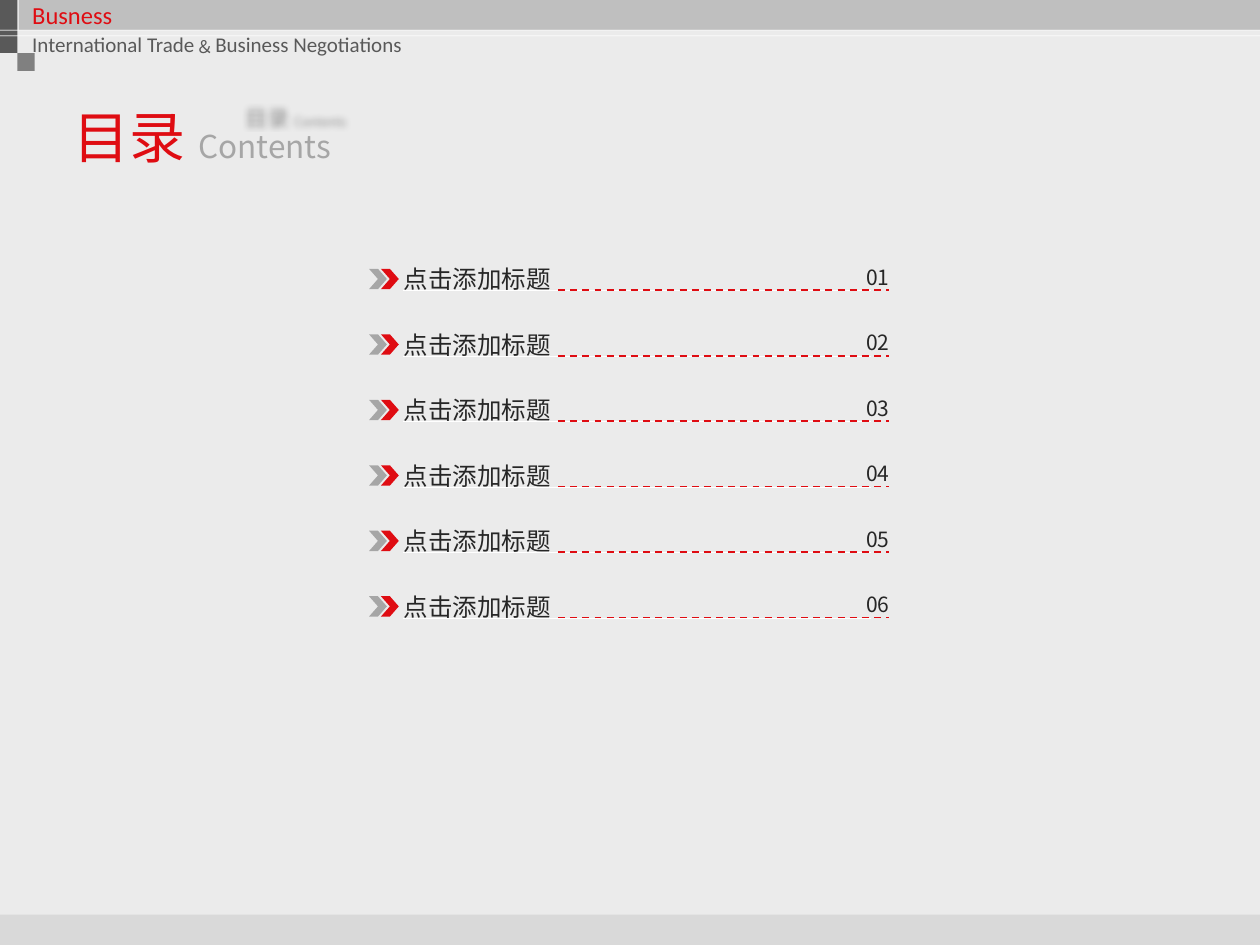
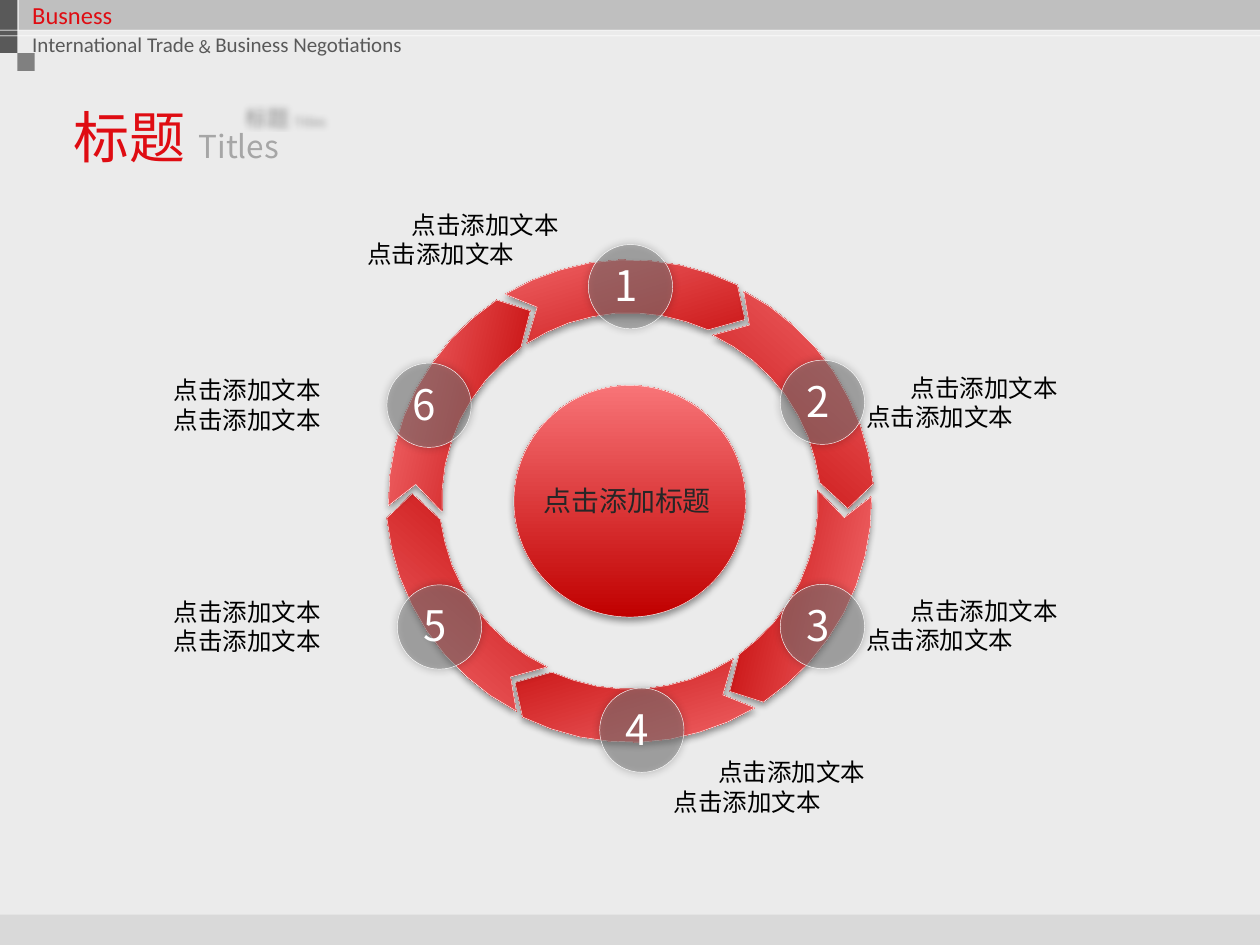
from dataclasses import dataclass
from math import cos, radians, sin

from lxml import etree
from pptx import Presentation
from pptx.dml.color import RGBColor
from pptx.enum.dml import MSO_LINE
from pptx.enum.shapes import MSO_CONNECTOR, MSO_SHAPE
from pptx.enum.text import MSO_ANCHOR, PP_ALIGN
from pptx.oxml.ns import qn
from pptx.util import Cm, Pt

RECT, OVAL, CHEVRON = MSO_SHAPE.RECTANGLE, MSO_SHAPE.OVAL, MSO_SHAPE.CHEVRON
STRAIGHT, DASH = MSO_CONNECTOR.STRAIGHT, MSO_LINE.DASH
LEFT, CENTER, TOP = PP_ALIGN.LEFT, PP_ALIGN.CENTER, MSO_ANCHOR.TOP


@dataclass(frozen=True)
class Theme:
    red: str = "DF0C12"
    deep_red: str = "C00000"
    light_red: str = "F87477"
    white: str = "FFFFFF"
    black: str = "000000"
    ink: str = "262626"
    charcoal: str = "595959"
    gray: str = "808080"
    silver: str = "A6A6A6"
    band: str = "BFBFBF"
    pale: str = "D9D9D9"
    latin: str = "Calibri"
    cjk: str = "Noto Sans CJK SC"
    title: int = 32
    badge: int = 24
    subtitle: int = 18
    hub: int = 16
    body: int = 14
    small: int = 12


T = Theme()


@dataclass(frozen=True)
class Box:
    """Left, top, width and height in centimetres."""
    x: float
    y: float
    w: float
    h: float


@dataclass(frozen=True)
class Step:
    """One stage of the cycle: badge corner, label corner, label layout."""
    number: int
    badge: tuple[float, float]
    label: tuple[float, float]
    staggered: bool = False


@dataclass(frozen=True)
class Shadow:
    blur: float
    dist: float = 0
    scale: int = 100
    align: str = "ctr"


RAISED = Shadow(4, 2)
GLOW = Shadow(5)
TITLE_ECHO = Shadow(4, 1, 39, "t")

SHARED_BANDS = (
    (Box(0, 0, 25.4, 19.05), T.pale, 50),
    (Box(0.38, 0, 25.02, 0.61), T.band, 100),
    (Box(0, 0, 0.35, 1.07), T.charcoal, 100),
    (Box(0.35, 1.07, 0.35, 0.36), T.gray, 100),
)
FOOTER = Box(0, 18.44, 25.4, 0.61)

STEPS = (
    Step(5, (8.01, 11.79), (3.25, 11.91)),
    Step(4, (12.09, 13.87), (12.35, 15.14), True),
    Step(3, (15.73, 11.78), (16.23, 11.89), True),
    Step(2, (15.73, 7.26), (16.23, 7.39), True),
    Step(1, (11.86, 4.93), (6.17, 4.11), True),
    Step(6, (7.8, 7.32), (3.25, 7.44)),
)
STAGGER = (1.88, 0.98)

RING_CENTER = (12.7, 10.1)
ARROW_ROTATIONS = (342.9, 41.3, 102.9, 162.9, 221.3, 282.9)
INNER, MIDDLE, OUTER = 3.8, 4.34, 4.87
UNITS_PER_CM = 100


# Formatting helpers
def rgb(color: str) -> RGBColor:
    return RGBColor.from_string(color)


def set_alpha(parent, percent: int) -> None:
    if percent < 100:
        for clr in parent.iter(qn("a:srgbClr")):
            etree.SubElement(clr, qn("a:alpha"), val=str(percent * 1000))


def set_shadow(sp, shadow: Shadow | None) -> None:
    sp.shadow.inherit = False
    if shadow:
        effects = sp._element.spPr.find(qn("a:effectLst"))
        scale = str(shadow.scale * 1000)
        outer = etree.SubElement(
            effects, qn("a:outerShdw"), blurRad=str(Pt(shadow.blur)),
            dist=str(Pt(shadow.dist)), dir="5400000", sx=scale, sy=scale,
            algn=shadow.align, rotWithShape="0")
        etree.SubElement(outer, qn("a:srgbClr"), val=T.black)
        set_alpha(outer, 40)


def set_font(font, size: int, color: str, name: str) -> None:
    font.size, font.name = Pt(size), name
    font.color.rgb = rgb(color)
    etree.SubElement(font._rPr, qn("a:ea"), typeface=name)


def set_edge(sp) -> None:
    sp.line.color.rgb = rgb(T.white)
    sp.line.width = Pt(0.25)


def set_gloss(sp) -> None:
    sp.fill.gradient()
    sp.fill.gradient_angle = 90
    for position, (stop, color) in enumerate(
            zip(sp.fill.gradient_stops, (T.deep_red, T.light_red))):
        stop.color.rgb = rgb(color)
        stop.position = position
    set_edge(sp)
    set_shadow(sp, RAISED)


# Drawing helpers
def add_preset(slide, kind, box: Box):
    return slide.shapes.add_shape(kind, Cm(box.x), Cm(box.y), Cm(box.w), Cm(box.h))


def add_flat(slide, kind, box: Box, color: str, alpha: int = 100):
    sp = add_preset(slide, kind, box)
    sp.fill.solid()
    sp.fill.fore_color.rgb = rgb(color)
    set_alpha(sp._element.spPr, alpha)
    sp.line.fill.background()
    set_shadow(sp, None)
    return sp


def add_rule(slide, x1: float, x2: float, y: float, color: str,
             width: float, alpha: int = 100):
    line = slide.shapes.add_connector(STRAIGHT, Cm(x1), Cm(y), Cm(x2), Cm(y))
    line.line.color.rgb = rgb(color)
    line.line.width = Pt(width)
    spPr = line._element.spPr
    set_alpha(spPr, alpha)
    etree.SubElement(spPr, qn("a:effectLst"))
    return line


def add_frame(slide, box: Box, inset: bool = True):
    sp = slide.shapes.add_textbox(Cm(box.x), Cm(box.y), Cm(box.w), Cm(box.h))
    tf = sp.text_frame
    tf.word_wrap, tf.vertical_anchor = True, TOP
    if not inset:
        tf.margin_left = tf.margin_right = tf.margin_top = tf.margin_bottom = 0
    return sp


def add_text(slide, box: Box, lines: tuple[str, ...], size: int, color: str,
             name: str = T.cjk, align=LEFT, inset: bool = True,
             indents: tuple[float, ...] = (0, 0)) -> None:
    tf = add_frame(slide, box, inset).text_frame
    for i, (line, indent) in enumerate(zip(lines, indents)):
        p = tf.add_paragraph() if i else tf.paragraphs[0]
        p.text, p.alignment = line, align
        if indent:
            p._p.get_or_add_pPr().set("marL", str(Cm(indent)))
        if name == T.cjk:
            p.line_spacing = Pt(size * 1.2)
        set_font(p.font, size, color, name)


# Parts that every slide shares
def add_base(prs, title: str, subtitle: str):
    slide = prs.slides.add_slide(prs.slide_layouts[6])
    for box, color, alpha in SHARED_BANDS:
        add_flat(slide, RECT, box, color, alpha)
    for y in (0.61, 0.72):
        add_rule(slide, 0, 25.4, y, T.white, 0.75, 53)
    add_flat(slide, RECT, FOOTER, T.pale)
    add_text(slide, Box(0.4, -0.13, 4.37, 0.86), ("Busness",),
             T.body, T.red, T.latin)
    add_text(slide, Box(0.4, 0.51, 10.11, 0.76),
             ("International Trade﹠Business Negotiations",),
             T.small, T.charcoal, T.latin)
    add_title(slide, title, subtitle)
    return slide


def add_title(slide, title: str, subtitle: str) -> None:
    sp = add_frame(slide, Box(1.24, 2.07, 11.86, 1.07))
    set_shadow(sp, TITLE_ECHO)
    sp.text_frame.margin_top = sp.text_frame.margin_bottom = 0
    p = sp.text_frame.paragraphs[0]
    for text, size, color in ((f"{title} ", T.title, T.red),
                              (subtitle, T.subtitle, T.silver)):
        r = p.add_run()
        r.text = text
        set_font(r.font, size, color, T.cjk)
    # White outline on the main title
    ln = etree.Element(qn("a:ln"), w=str(Pt(0.75)))
    fill = etree.SubElement(ln, qn("a:solidFill"))
    etree.SubElement(fill, qn("a:srgbClr"), val=T.white)
    p.runs[0]._r.get_or_add_rPr().insert(0, ln)


# Contents slide
def add_entry(slide, number: int) -> None:
    y = 5.33 + 1.32 * (number - 1)
    add_text(slide, Box(8.14, y, 5.72, 0.61), ("点击添加标题",),
             T.body, T.ink, inset=False)
    add_rule(slide, 8.13, 17.55, y + 0.52, T.white, 0.05)
    add_text(slide, Box(17.46, y, 0.51, 0.51), (f"{number:02}",),
             T.small, T.ink, inset=False)
    add_rule(slide, 11.25, 17.93, y + 0.52, T.red, 1).line.dash_style = DASH
    for x, color in ((7.68, T.red), (7.44, T.silver)):
        add_flat(slide, CHEVRON, Box(x, y + 0.09, 0.36, 0.41), color)


def build_contents(prs) -> None:
    slide = add_base(prs, "目录", "Contents")
    for number in range(1, 7):
        add_entry(slide, number)


# Cycle slide
def polar(radius: float, degrees: float) -> tuple[float, float]:
    """Point clockwise from twelve o'clock, y pointing down."""
    a = radians(degrees)
    return radius * sin(a), -radius * cos(a)


def arc(radius: float, start: float, end: float, n: int = 8):
    return [polar(radius, start + (end - start) * i / n) for i in range(n + 1)]


def add_ring_arrow(slide, index: int, rotation: float) -> None:
    outline = [(round(x * UNITS_PER_CM), round(y * UNITS_PER_CM)) for x, y in (
        *arc(OUTER, -13.9, 43.6), polar(MIDDLE, 49.5),
        *arc(INNER, 41.7, -16.1), polar(MIDDLE, -8.3))]
    builder = slide.shapes.build_freeform(*outline[0], scale=Cm(1) / UNITS_PER_CM)
    builder.add_line_segments(outline[1:], close=True)
    sp = builder.convert_to_shape(Cm(RING_CENTER[0]), Cm(RING_CENTER[1]))
    dx, dy = polar(3.99, 60 * index - 1.3)
    sp.left = Cm(RING_CENTER[0] + dx) - sp.width // 2
    sp.top = Cm(RING_CENTER[1] + dy) - sp.height // 2
    sp.rotation = rotation
    set_gloss(sp)


def add_badge(slide, step: Step) -> None:
    x, y = step.badge
    sp = add_flat(slide, OVAL, Box(x, y, 1.7, 1.7), T.gray, 50)
    set_edge(sp)
    set_shadow(sp, GLOW)
    add_text(slide, Box(x + 0.27, y + 0.18, 1.14, 1.36), (str(step.number),),
             T.badge, T.white)


def build_cycle(prs) -> None:
    slide = add_base(prs, "标题", "Titles")
    for index, rotation in enumerate(ARROW_ROTATIONS):
        add_ring_arrow(slide, index, rotation)
    set_gloss(add_preset(slide, OVAL, Box(10.36, 7.77, 4.67, 4.67)))
    for step in STEPS:
        add_badge(slide, step)
    for step in STEPS:
        add_text(slide, Box(*step.label, 5.36, 1.45), ("点击添加文本",) * 2,
                 T.body, T.black, indents=STAGGER if step.staggered else (0, 0))
    add_text(slide, Box(10.64, 9.63, 4.01, 0.94), ("点击添加标题",),
             T.hub, T.ink, align=CENTER)


def main() -> None:
    prs = Presentation()
    prs.slide_width, prs.slide_height = Cm(25.4), Cm(19.05)
    build_contents(prs)
    build_cycle(prs)
    prs.save("out.pptx")


if __name__ == "__main__":
    main()
